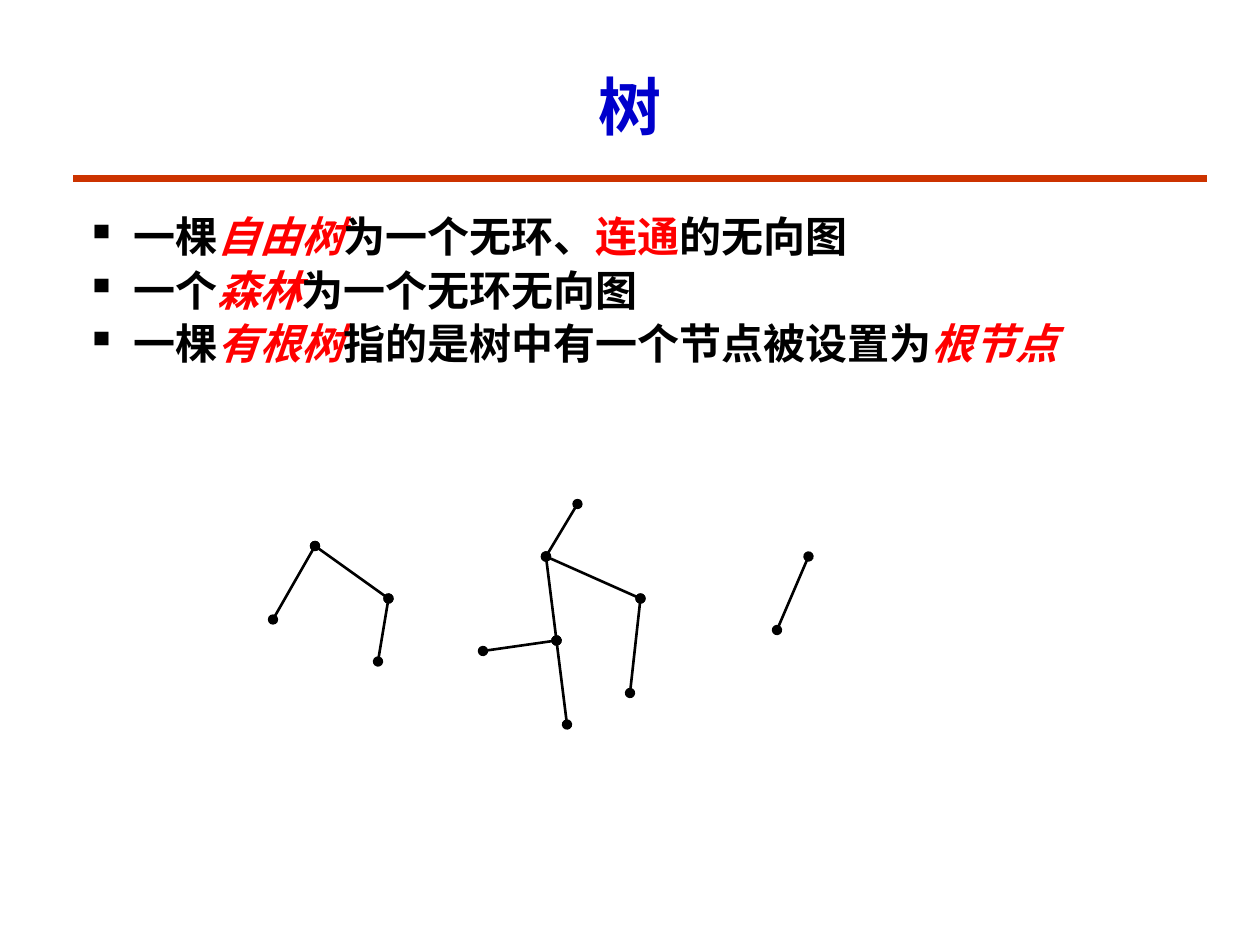
from dataclasses import dataclass
from typing import NamedTuple

from lxml.etree import SubElement
from pptx import Presentation
from pptx.dml.color import RGBColor
from pptx.enum.shapes import MSO_CONNECTOR as Connector
from pptx.enum.text import MSO_ANCHOR as Anchor, PP_ALIGN as Align
from pptx.oxml.ns import qn
from pptx.util import Pt


@dataclass(frozen=True)
class Theme:
    font: str = "Times New Roman"
    title_size: float = 36
    body_size: float = 24
    title_color: str = "0000CC"
    text_color: str = "000000"
    key_color: str = "FF0000"
    rule_color: str = "CC3300"
    rule_width: float = 4.5
    edge_width: float = 1.5
    grid: float = 6
    bullet_indent: float = 27


class Node(NamedTuple):
    column: int
    row: int


class Tree(NamedTuple):
    nodes: dict[str, Node]
    edges: tuple[str, ...]


class Span(NamedTuple):
    text: str
    key: bool = False
    italic: bool = False


THEME = Theme()

BULLETS = (
    (Span("一棵"), Span("自由树", True, True), Span("为一个无环、"),
     Span("连通", True), Span("的无向图")),
    (Span("一个"), Span("森林", True, True), Span("为一个无环无向图")),
    (Span("一棵"), Span("有根树", True, True),
     Span("指的是树中有一个节点被设置为"), Span("根节点", True, True)),
)

FOREST = (
    Tree({"a": Node(55, 48), "b": Node(52, 53), "c": Node(53, 61),
          "d": Node(61, 57), "e": Node(60, 66), "f": Node(46, 62),
          "g": Node(54, 69)}, ("ab", "bc", "bd", "de", "cf", "cg")),
    Tree({"a": Node(77, 53), "b": Node(74, 60)}, ("ab",)),
    Tree({"a": Node(30, 52), "b": Node(26, 59), "c": Node(37, 57),
          "d": Node(36, 63)}, ("ab", "ac", "cd")),
)


def add_line(slide, start: tuple, end: tuple, *, color: str, width: float,
             dots: bool = False) -> None:
    """Draw a straight line, with round ends if dots is set."""
    points = [Pt(value) for value in (*start, *end)]
    connector = slide.shapes.add_connector(Connector.STRAIGHT, *points)
    connector.line.color.rgb = RGBColor.from_string(color)
    connector.line.width = Pt(width)
    if dots:
        outline = connector.line._get_or_add_ln()
        for tag in ("a:headEnd", "a:tailEnd"):
            SubElement(outline, qn(tag), type="oval")
    SubElement(connector._element.spPr, qn("a:effectLst"))


def add_frame(slide, left: float, top: float, width: float, height: float,
              anchor: Anchor):
    """Add a wrapping text box and return its text frame."""
    box = slide.shapes.add_textbox(Pt(left), Pt(top), Pt(width), Pt(height))
    frame = box.text_frame
    frame.word_wrap = True
    frame.vertical_anchor = anchor
    return frame


def add_run(paragraph, text: str, *, size: float, color: str,
            italic: bool = False) -> None:
    """Append a bold run in the theme font."""
    run = paragraph.add_run()
    run.text = text
    run.font.name = THEME.font
    run.font.size = Pt(size)
    run.font.bold = True
    run.font.italic = italic
    run.font.color.rgb = RGBColor.from_string(color)


def add_bullet(paragraph) -> None:
    """Give a paragraph a square bullet and a hanging indent."""
    properties = paragraph._p.get_or_add_pPr()
    properties.set("marL", str(Pt(THEME.bullet_indent)))
    properties.set("indent", str(-Pt(THEME.bullet_indent)))
    SubElement(properties, qn("a:buChar"), char="▪")


def add_title(slide, text: str) -> None:
    """Add the centred title."""
    paragraph = add_frame(slide, 54, 24, 612, 72, Anchor.MIDDLE).paragraphs[0]
    paragraph.alignment = Align.CENTER
    add_run(paragraph, text, size=THEME.title_size, color=THEME.title_color)


def add_body(slide) -> None:
    """Add the bulleted definitions."""
    frame = add_frame(slide, 42, 120, 612, 372, Anchor.TOP)
    for index, spans in enumerate(BULLETS):
        paragraph = frame.add_paragraph() if index else frame.paragraphs[0]
        add_bullet(paragraph)
        paragraph.line_spacing = 0.9
        if index:
            paragraph.space_before = Pt(0.2 * THEME.body_size)
        for span in spans:
            color = THEME.key_color if span.key else THEME.text_color
            add_run(paragraph, span.text, size=THEME.body_size, color=color,
                    italic=span.italic)


def add_tree(slide, tree: Tree) -> None:
    """Draw the edges of a tree with a dot at each node."""
    for edge in tree.edges:
        start, end = (
            tuple(THEME.grid * value for value in tree.nodes[name])
            for name in edge
        )
        add_line(slide, start, end, color=THEME.text_color,
                 width=THEME.edge_width, dots=True)


def main() -> None:
    """Build and save the slide."""
    presentation = Presentation()
    presentation.slide_width = Pt(720)
    presentation.slide_height = Pt(540)
    slide = presentation.slides.add_slide(presentation.slide_layouts[6])
    add_line(slide, (42, 102), (690, 102), color=THEME.rule_color,
             width=THEME.rule_width)
    add_title(slide, "树")
    add_body(slide)
    for tree in FOREST:
        add_tree(slide, tree)
    presentation.save("out.pptx")


if __name__ == "__main__":
    main()
